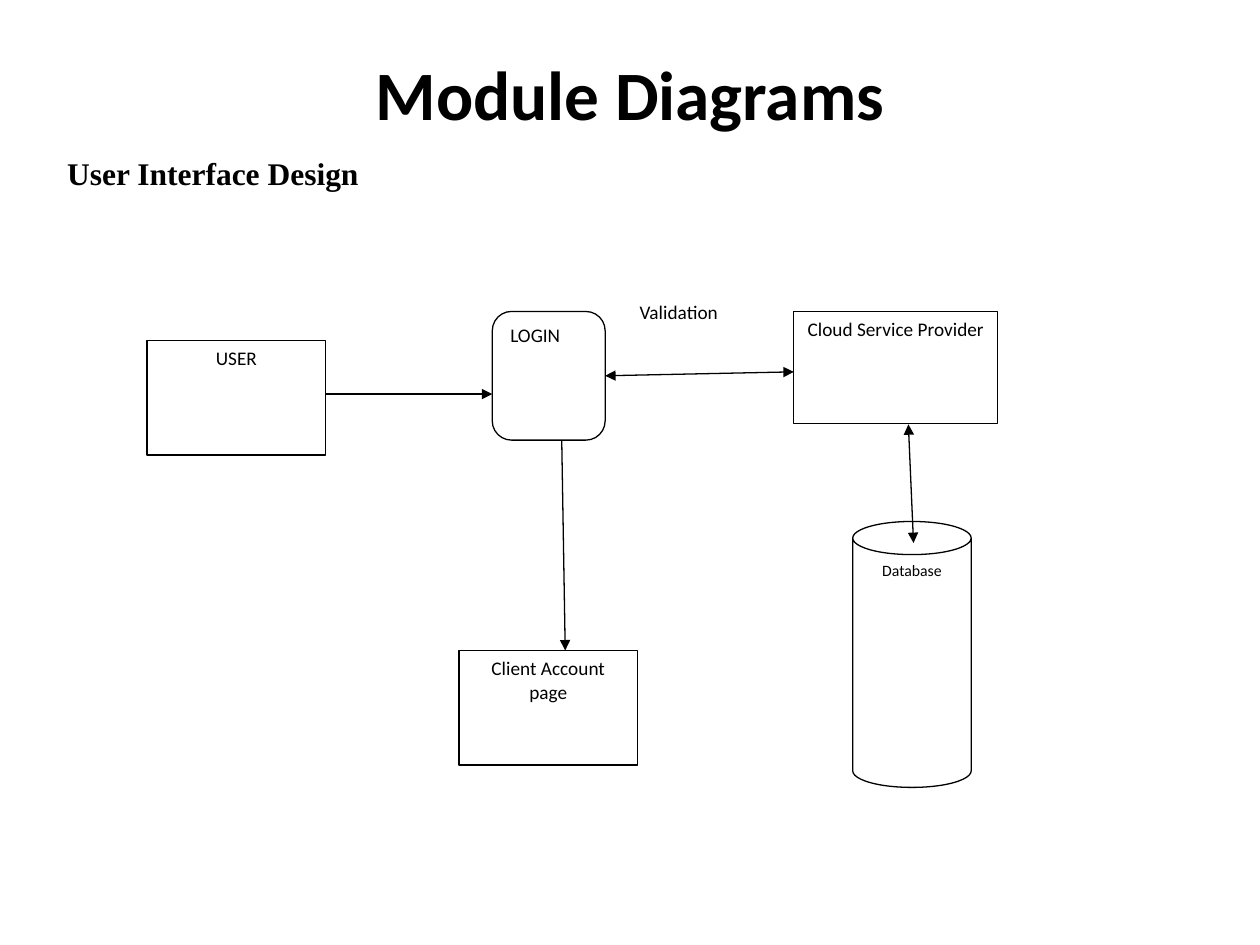
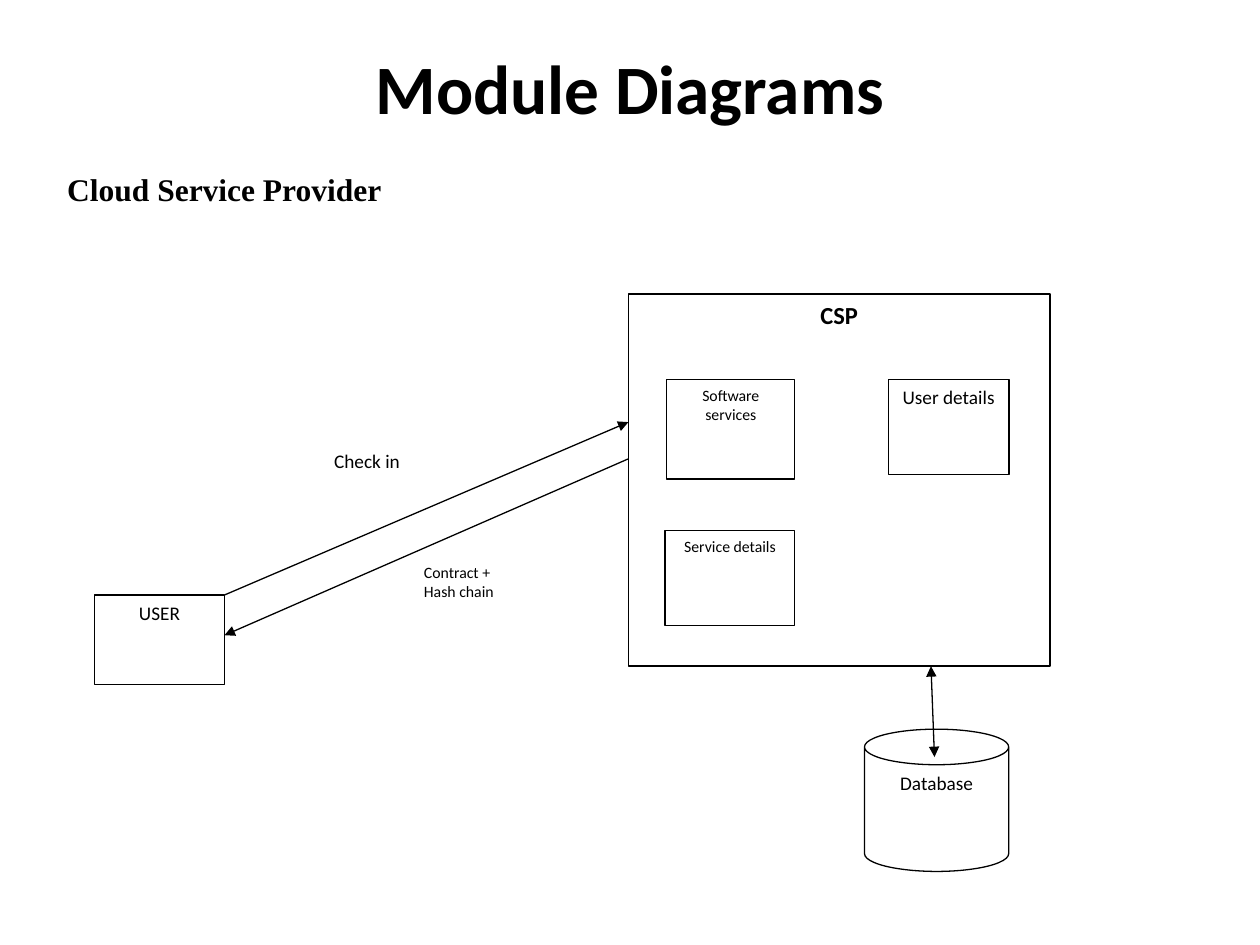
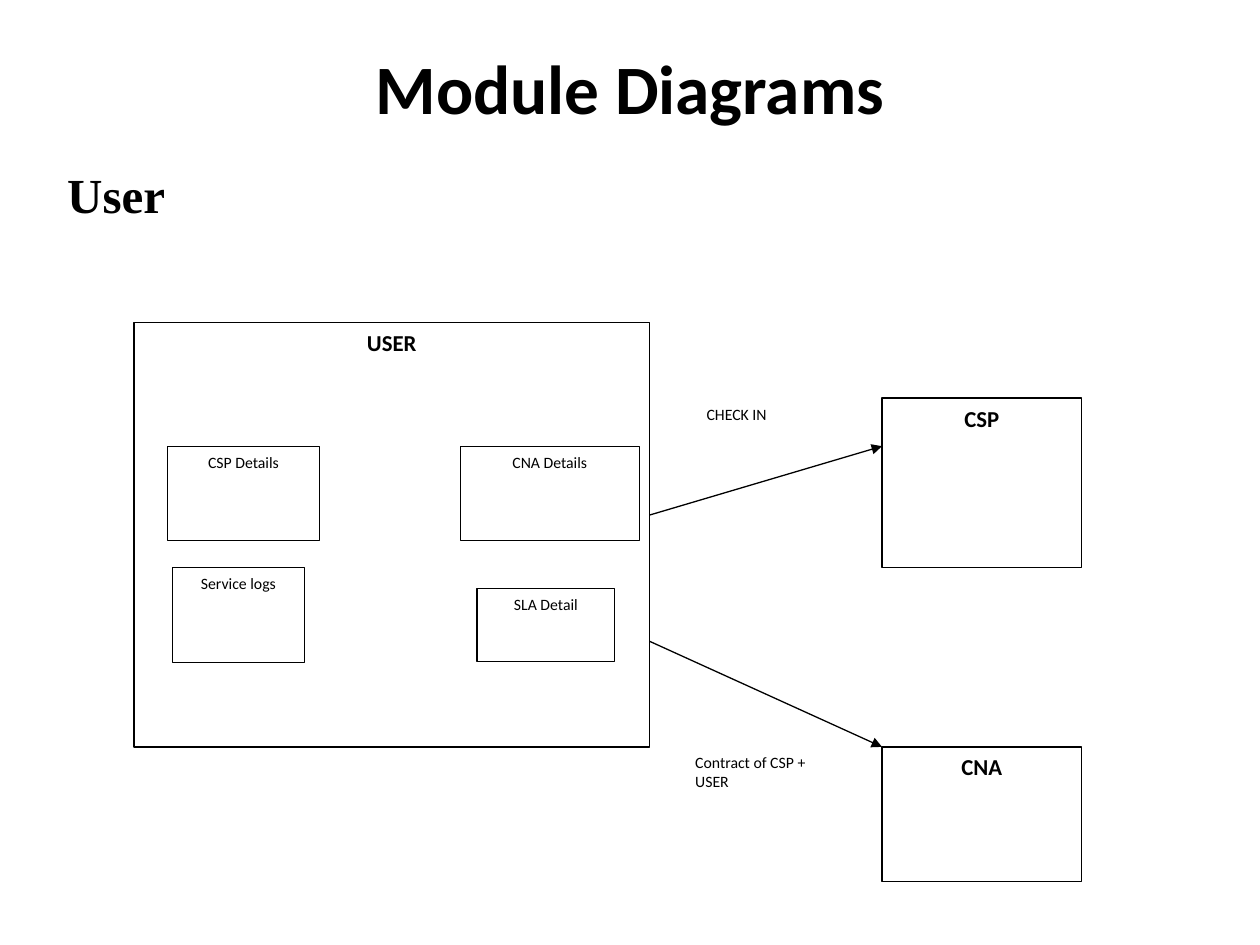
from dataclasses import dataclass
from typing import Any, NamedTuple, Optional

from lxml.etree import SubElement
from pptx import Presentation
from pptx.dml.color import RGBColor
from pptx.enum.shapes import MSO_CONNECTOR, MSO_SHAPE
from pptx.enum.text import MSO_ANCHOR, PP_ALIGN
from pptx.oxml.ns import qn
from pptx.shapes.autoshape import Shape
from pptx.slide import Slide
from pptx.util import Pt


@dataclass(frozen=True)
class Theme:
    ink: RGBColor = RGBColor(0, 0, 0)
    paper: RGBColor = RGBColor(255, 255, 255)
    body_font: str = "Calibri"
    heading_font: str = "Times New Roman"
    title_size: float = 39.6
    heading_size: float = 18
    large_heading_size: float = 28
    group_size: float = 14
    module_size: float = 13
    label_size: float = 11
    small_size: float = 9
    line_width: float = 0.75
    space_after: float = 10


THEME = Theme()


class Area(NamedTuple):
    left: float
    top: float
    width: float
    height: float


class Point(NamedTuple):
    x: float
    y: float


@dataclass(frozen=True)
class Box:
    text: str
    area: Area
    size: float = THEME.label_size
    bold: bool = False
    align: PP_ALIGN = PP_ALIGN.CENTER
    kind: MSO_SHAPE = MSO_SHAPE.RECTANGLE
    adjustment: Optional[float] = None
    outline: RGBColor = THEME.ink


@dataclass(frozen=True)
class Arrow:
    start: Point
    end: Point
    two_way: bool = False
    start_box: Optional[str] = None
    start_side: int = 3


@dataclass(frozen=True)
class Diagram:
    heading: str
    heading_area: Area
    boxes: list[Box]
    arrows: list[Arrow]
    heading_size: float = THEME.heading_size
    title_height: float = 56


def label(text: str, area: Area, size: float = THEME.small_size,
          align: PP_ALIGN = PP_ALIGN.LEFT) -> Box:
    return Box(text, area, size, align=align, outline=THEME.paper)


def apply(target: Any, values: dict[str, Any]) -> None:
    for name, value in values.items():
        setattr(target, name, value)


def write(shape: Shape, text: str, size: float, bold: bool, align: PP_ALIGN,
          font: str = THEME.body_font, space_after: float = 0,
          frame: Optional[dict[str, Any]] = None) -> None:
    apply(shape.text_frame, {"word_wrap": True, "vertical_anchor": MSO_ANCHOR.TOP, **(frame or {})})
    para = shape.text_frame.paragraphs[0]
    apply(para, {"alignment": align, "space_after": Pt(space_after)})
    span = para.add_run()
    span.text = text
    apply(span.font, {"name": font, "size": Pt(size), "bold": bold})
    span.font.color.rgb = THEME.ink


def add_panel(page: Slide, area: Area, kind: MSO_SHAPE = MSO_SHAPE.RECTANGLE,
              outline: Optional[RGBColor] = None) -> Shape:
    shape = page.shapes.add_shape(kind, *map(Pt, area))
    shape.shadow.inherit = False
    shape.fill.solid()
    shape.fill.fore_color.rgb = THEME.paper
    if outline is None:
        shape.line.fill.background()
    else:
        shape.line.color.rgb = outline
        shape.line.width = Pt(THEME.line_width)
    return shape


def add_title(page: Slide, height: float) -> None:
    title = page.shapes.add_textbox(*map(Pt, Area(36, 21.6, 648, height)))
    write(title, "Module Diagrams", THEME.title_size, True, PP_ALIGN.CENTER,
          frame={"vertical_anchor": MSO_ANCHOR.MIDDLE})


def add_heading(page: Slide, diagram: Diagram) -> None:
    panel = add_panel(page, diagram.heading_area)
    write(panel, diagram.heading, diagram.heading_size, True, PP_ALIGN.LEFT, THEME.heading_font,
          frame={"vertical_anchor": MSO_ANCHOR.MIDDLE, "margin_left": Pt(14.4),
                 "margin_right": 0, "margin_top": 0, "margin_bottom": 0})


def add_box(page: Slide, box: Box) -> Shape:
    shape = add_panel(page, box.area, box.kind, box.outline)
    if box.adjustment is not None:
        shape.adjustments[0] = box.adjustment
    write(shape, box.text, box.size, box.bold, box.align, space_after=THEME.space_after)
    return shape


def add_arrow(page: Slide, arrow: Arrow, shapes: dict[str, Shape]) -> None:
    connector = page.shapes.add_connector(
        MSO_CONNECTOR.STRAIGHT, *map(Pt, (*arrow.start, *arrow.end)))
    if arrow.start_box:
        connector.begin_connect(shapes[arrow.start_box], arrow.start_side)
    connector.line.color.rgb = THEME.ink
    connector.line.width = Pt(THEME.line_width)
    line = connector.line._get_or_add_ln()
    for end in ("a:headEnd", "a:tailEnd") if arrow.two_way else ("a:tailEnd",):
        SubElement(line, qn(end), type="triangle")
    SubElement(connector._element.spPr, qn("a:effectLst"))


def add_diagram(page: Slide, diagram: Diagram) -> None:
    add_title(page, diagram.title_height)
    add_heading(page, diagram)
    shapes = {box.text: add_box(page, box) for box in diagram.boxes}
    for arrow in diagram.arrows:
        add_arrow(page, arrow, shapes)


INTERFACE = Diagram(
    "User Interface Design", Area(24, 84, 630, 29.5),
    [
        Box("USER", Area(84, 194.5, 102.2, 65.5)),
        Box("Cloud Service Provider", Area(453.6, 178, 116.6, 64)),
        Box("LOGIN", Area(281.3, 178, 64.5, 73.5), align=PP_ALIGN.LEFT,
            kind=MSO_SHAPE.ROUNDED_RECTANGLE, adjustment=0.17),
        Box("Client Account page", Area(262.2, 371.7, 102.2, 65.5)),
        label("Validation", Area(358.4, 168, 85, 34), THEME.label_size),
        Box("Database", Area(487.3, 298, 67.7, 152), THEME.small_size,
            kind=MSO_SHAPE.CAN, adjustment=0.28),
    ],
    [
        Arrow(Point(186.5, 225.2), Point(281.3, 225.2)),
        Arrow(Point(345.8, 214), Point(453.6, 212.5), True, "LOGIN"),
        Arrow(Point(321, 251.8), Point(323, 371.7)),
        Arrow(Point(519.1, 242.5), Point(522, 310.3), True),
    ],
    title_height=63,
)

PROVIDER = Diagram(
    "Cloud Service Provider", Area(24, 90, 630, 35.5),
    [
        Box("CSP", Area(359.1, 168, 241, 212.5), THEME.group_size, True),
        Box("USER", Area(54, 340, 74.3, 51)),
        label("Check in", Area(173.5, 253, 72.5, 30), THEME.label_size, PP_ALIGN.CENTER),
        label("Contract + Hash chain", Area(235.2, 318, 67.7, 53)),
        Box("Software services", Area(381, 216.8, 73.2, 57), THEME.small_size),
        Box("User details", Area(507.6, 216.8, 69, 54.5)),
        Box("Service details", Area(380, 303, 74.2, 54.5), THEME.small_size),
        Box("Database", Area(494, 416.7, 82.4, 81.3), kind=MSO_SHAPE.CAN, adjustment=0.25),
    ],
    [
        Arrow(Point(128.3, 340), Point(359.1, 241.2)),
        Arrow(Point(359.1, 262.2), Point(128.3, 363)),
        Arrow(Point(532, 380.7), Point(534, 432.6), True),
    ],
)

USER = Diagram(
    "User", Area(24, 96, 630, 29.5),
    [
        Box("USER", Area(76.5, 184.3, 294.6, 242.5), THEME.module_size, True),
        Box("CSP Details", Area(95.6, 255, 87, 54), THEME.small_size),
        Box("CNA Details", Area(263, 255, 102.3, 54), THEME.small_size),
        Box("Service logs", Area(98.4, 324.4, 75.6, 54), THEME.small_size),
        Box("SLA Detail", Area(272.6, 336.3, 78.7, 41.7), THEME.small_size),
        Box("CSP", Area(504, 227.5, 114, 97), THEME.module_size, True),
        Box("CNA", Area(504, 426.8, 114, 77), THEME.module_size, True),
        label("CHECK IN", Area(396.7, 227.5, 67, 35.5)),
        label("Contract of CSP + USER", Area(390.2, 426.8, 81.4, 62.5)),
    ],
    [
        Arrow(Point(371.3, 294.3), Point(504, 255)),
        Arrow(Point(371.3, 366.5), Point(504, 426.8)),
    ],
    heading_size=THEME.large_heading_size,
)


def main() -> None:
    deck = Presentation()
    apply(deck, {"slide_width": Pt(720), "slide_height": Pt(540)})
    for diagram in (INTERFACE, PROVIDER, USER):
        add_diagram(deck.slides.add_slide(deck.slide_layouts[6]), diagram)
    deck.save("out.pptx")


if __name__ == "__main__":
    main()
